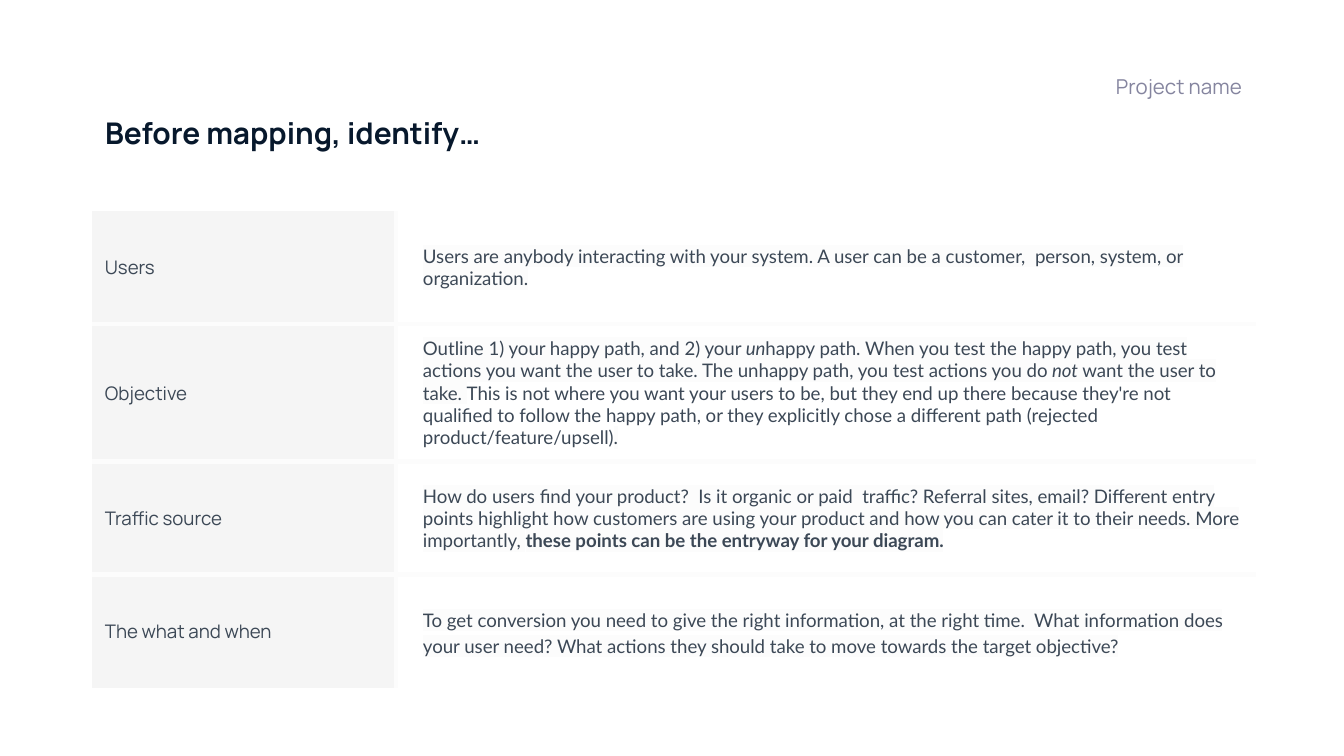
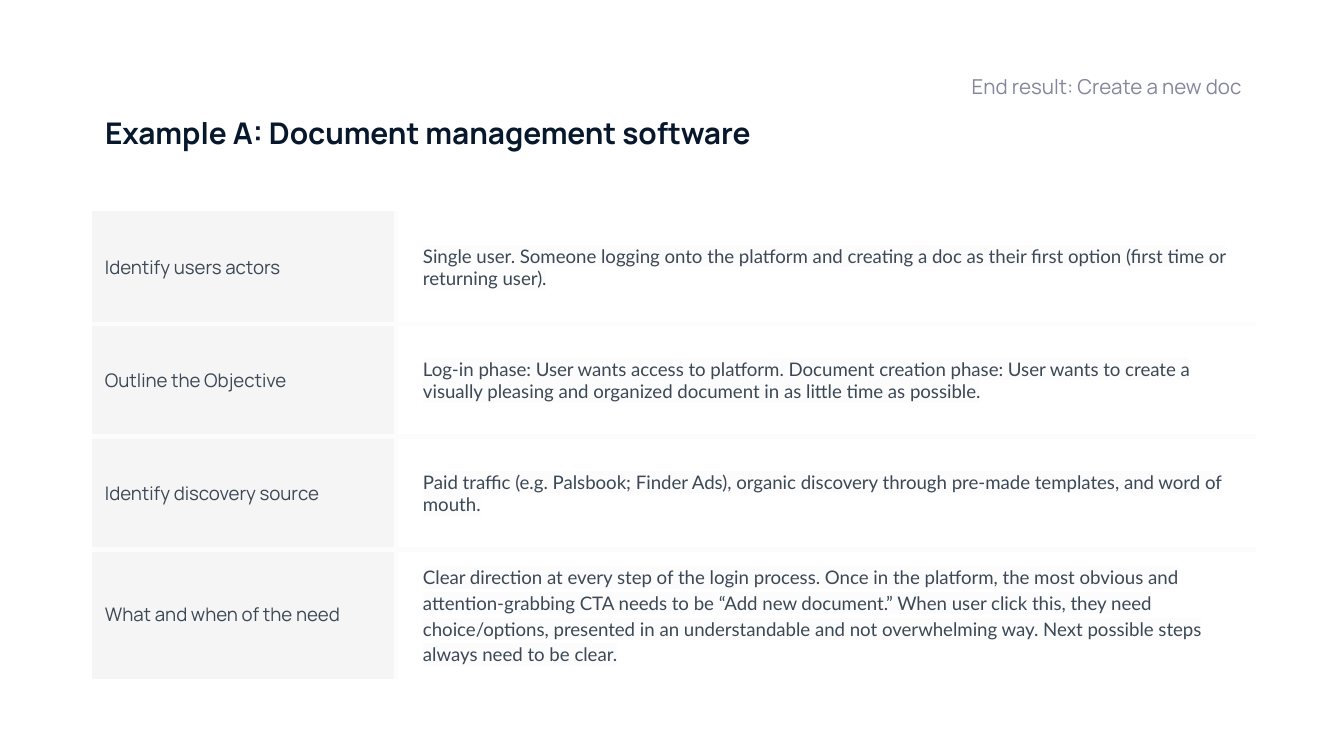
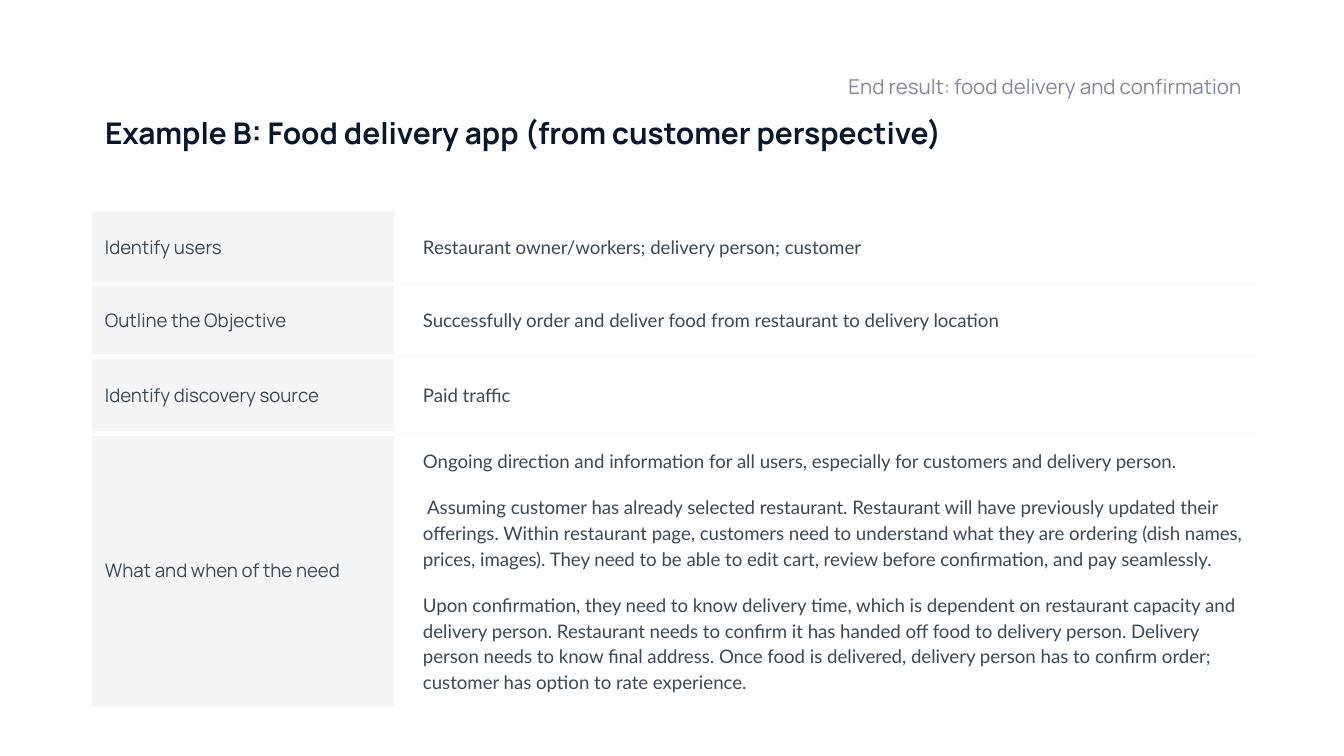
from lxml.etree import SubElement
from pptx import Presentation
from pptx.dml.color import RGBColor
from pptx.enum.text import MSO_ANCHOR as ANCHOR, MSO_AUTO_SIZE as AUTO, PP_ALIGN as ALIGN
from pptx.oxml import parse_xml
from pptx.oxml.ns import nsdecls, qn
from pptx.util import Emu, Pt

NAVY = RGBColor(0x07, 0x18, 0x2C)
LILAC = RGBColor(0x85, 0x85, 0x9F)
SLATE = RGBColor(0x3C, 0x48, 0x56)
GREY = RGBColor(0xF5, 0xF5, 0xF5)
MIST = RGBColor(0xFC, 0xFC, 0xFC)
WHITE = RGBColor(0xFF, 0xFF, 0xFF)
HEAD_FONT, BODY_FONT = "Manrope", "Lato"

# Each row is a label and its paragraphs; a paragraph is a list of (text, style) runs.
# Styles: "i" italic, "b" bold, "w" white highlight, "" plain.
SLIDES = [
    dict(
        title="Before mapping, identify…", title_w=855,
        note="Project name", note_w=583,
        row_heights=[113, 113, 113, 113], highlight=MIST,
        rows=[
            ("Users", [[("Users are anybody interacting with your system. A user can be a "
                         "customer,  person, system, or organization.", "")]]),
            ("Objective", [[
                ("Outline 1) your happy path, and 2) your ", ""),
                ("un", "i"),
                ("happy path. When you test the happy path, you test actions you want the "
                 "user to take. The unhappy path, you test actions you do ", ""),
                ("not", "i"),
                (" want the user to take. ", ""),
                ("This is not where you want your users to be, but they end up there because "
                 "they're not qualified to follow the happy path, or they explicitly chose a "
                 "different path (rejected product/feature/upsell)", "w"),
                (".", "")]]),
            ("Traffic source", [[
                ("How do users find your product?  Is it organic or paid  traffic? Referral "
                 "sites, email? Different entry points highlight how customers are using your "
                 "product and how you can cater it to their needs. More importantly, ", ""),
                ("these points can be the entryway for your diagram.", "b")]]),
            ("The what and when", [[
                ("To get conversion you need to give the right information, at the right "
                 "time.  What information does your user need? What actions they should take "
                 "to move towards the target objective?", "")]]),
        ]),
    dict(
        title="Example A: Document management software", title_w=855,
        note="End result: Create a new doc", note_w=750,
        row_heights=[113, 113, 113, 113], highlight=MIST,
        rows=[
            ("Identify users actors", [[
                ("Single user. Someone logging onto the platform and creating a doc as their "
                 "first option (first time or returning user).", "")]]),
            ("Outline the Objective", [[
                ("Log-in phase: User wants access to platform. Document creation phase: User "
                 "wants to create a visually pleasing and organized document in as little "
                 "time as possible.", "")]]),
            ("Identify discovery source", [[
                ("Paid traffic (e.g. Palsbook; Finder Ads), organic discovery through "
                 "pre-made templates, and word of mouth.", "")]]),
            ("What and when of the need", [[
                ("Clear direction at every step of the login process. Once in the platform, "
                 "the most obvious and attention-grabbing CTA needs to be “Add new "
                 "document.” When user click this, they need choice/options, presented in an "
                 "understandable and not overwhelming way. Next possible steps always need "
                 "to be clear.", "")]]),
        ]),
    dict(
        title="Example B: Food delivery app (from customer perspective)", title_w=944,
        note="End result: food delivery and confirmation", note_w=583,
        row_heights=[73, 73, 77, 113], highlight=None,
        rows=[
            ("Identify users",
             [[("Restaurant owner/workers; delivery person; customer", "")]]),
            ("Outline the Objective",
             [[("Successfully order and deliver food from restaurant to delivery location",
                "")]]),
            ("Identify discovery source", [[("Paid traffic", "")]]),
            ("What and when of the need", [
                [("Ongoing direction and information for all users, especially for customers "
                  "and delivery person.", "")],
                [(" Assuming customer has already selected restaurant. Restaurant will have "
                  "previously updated their offerings. Within restaurant page, customers need "
                  "to understand what they are ordering (dish names, prices, images). They "
                  "need to be able to edit cart, review before confirmation, and pay "
                  "seamlessly.", "")],
                [("Upon confirmation, they need to know delivery time, which is dependent on "
                  "restaurant capacity and delivery person. Restaurant needs to confirm it "
                  "has handed off food to delivery person. Delivery person needs to know "
                  "final address. Once food is delivered, delivery person has to confirm "
                  "order; customer has option to rate experience.", "")]]),
        ]),
]

SLIDE_W, SLIDE_H = 1344, 756
LEFT, RIGHT = 92, 1255
TITLE_Y, TITLE_H = 102, 63
NOTE_Y, NOTE_H = 62, 44
TABLE_Y, COL_WIDTHS = 211, [304, 860]
PAD, WIDE_PAD, THIN_PAD = 13, 27, 7


def px(n):
    return Emu(round(n * 914400 / 134.4))


def add_run(p, text, font, size, color, bold=False, italic=False, highlight=None):
    r = p.add_run()
    r.text = text
    f = r.font
    f.name, f.size, f.bold, f.italic = font, Pt(size), bold, italic
    f.color.rgb = color
    if highlight is not None:
        r._r.rPr.find(qn("a:solidFill")).addnext(parse_xml(
            f'<a:highlight {nsdecls("a")}><a:srgbClr val="{highlight}"/></a:highlight>'))


def fill_heading(sp, box, text, size, color, anchor, align, bottom, bold):
    sp.left, sp.top, sp.width, sp.height = map(px, box)
    tf = sp.text_frame
    tf.word_wrap, tf.auto_size, tf.vertical_anchor = True, AUTO.NONE, anchor
    tf.margin_left = tf.margin_right = tf.margin_top = px(PAD)
    tf.margin_bottom = px(bottom)
    p = tf.paragraphs[0]
    p.alignment, p.space_before = align, Pt(0)
    add_run(p, text, HEAD_FONT, size, color, bold)


def set_borders(cell, visible):
    """Rule the named sides (L, R, T, B) and clear the others."""
    tcPr = cell._tc.get_or_add_tcPr()
    for i, side in enumerate("LRTB"):
        ln = parse_xml(f'<a:ln{side} {nsdecls("a")} w="{Pt(3)}"/>')
        if side in visible:
            SubElement(SubElement(ln, qn("a:solidFill")), qn("a:srgbClr"), val=str(MIST))
        else:
            SubElement(ln, qn("a:noFill"))
        tcPr.insert(i, ln)


def format_cell(cell, left_pad, borders):
    cell.vertical_anchor = ANCHOR.MIDDLE
    cell.margin_left = px(left_pad)
    cell.margin_right = cell.margin_top = cell.margin_bottom = px(PAD)
    set_borders(cell, borders)


def add_paragraphs(tf, paragraphs, highlight, spaced):
    for i, runs in enumerate(paragraphs):
        p = tf.paragraphs[0] if i == 0 else tf.add_paragraph()
        if spaced:
            p.line_spacing = 1.15
            p.space_before = Pt(11 if i else 0)
            p.space_after = Pt(11 if i == len(paragraphs) - 1 else 0)
        for text, style in runs:
            add_run(p, text, BODY_FONT, 10, SLATE, style == "b", style == "i",
                    WHITE if style == "w" else highlight)


def add_steps_table(s, rows, row_heights, highlight):
    table = s.shapes.add_table(len(rows), 2, px(LEFT), px(TABLE_Y),
                               px(sum(COL_WIDTHS)), px(sum(row_heights))).table
    table.first_row = table.horz_banding = False
    for col, w in zip(table.columns, COL_WIDTHS):
        col.width = px(w)
    last = len(rows) - 1
    for i, (label, paragraphs) in enumerate(rows):
        table.rows[i].height = px(row_heights[i])
        between = ("T" if i else "") + ("B" if i < last else "")
        name, detail = table.cell(i, 0), table.cell(i, 1)
        name.fill.solid()
        name.fill.fore_color.rgb = GREY
        detail.fill.background()
        format_cell(name, PAD, "R" + between)
        format_cell(detail, WIDE_PAD, "L" + between)
        add_run(name.text_frame.paragraphs[0], label, HEAD_FONT, 10, SLATE)
        add_paragraphs(detail.text_frame, paragraphs, highlight, spaced=i == last)


def main():
    prs = Presentation()
    prs.slide_width, prs.slide_height = px(SLIDE_W), px(SLIDE_H)
    for c in SLIDES:
        s = prs.slides.add_slide(prs.slide_layouts[0])
        s.background.fill.solid()
        s.background.fill.fore_color.rgb = WHITE
        title, note = s.placeholders
        fill_heading(title, (LEFT, TITLE_Y, c["title_w"], TITLE_H), c["title"],
                     16, NAVY, ANCHOR.TOP, ALIGN.LEFT, PAD, True)
        fill_heading(note, (RIGHT - c["note_w"], NOTE_Y, c["note_w"], NOTE_H), c["note"],
                     11, LILAC, ANCHOR.BOTTOM, ALIGN.RIGHT, THIN_PAD, False)
        add_steps_table(s, c["rows"], c["row_heights"], c["highlight"])
    prs.save("out.pptx")


if __name__ == "__main__":
    main()
